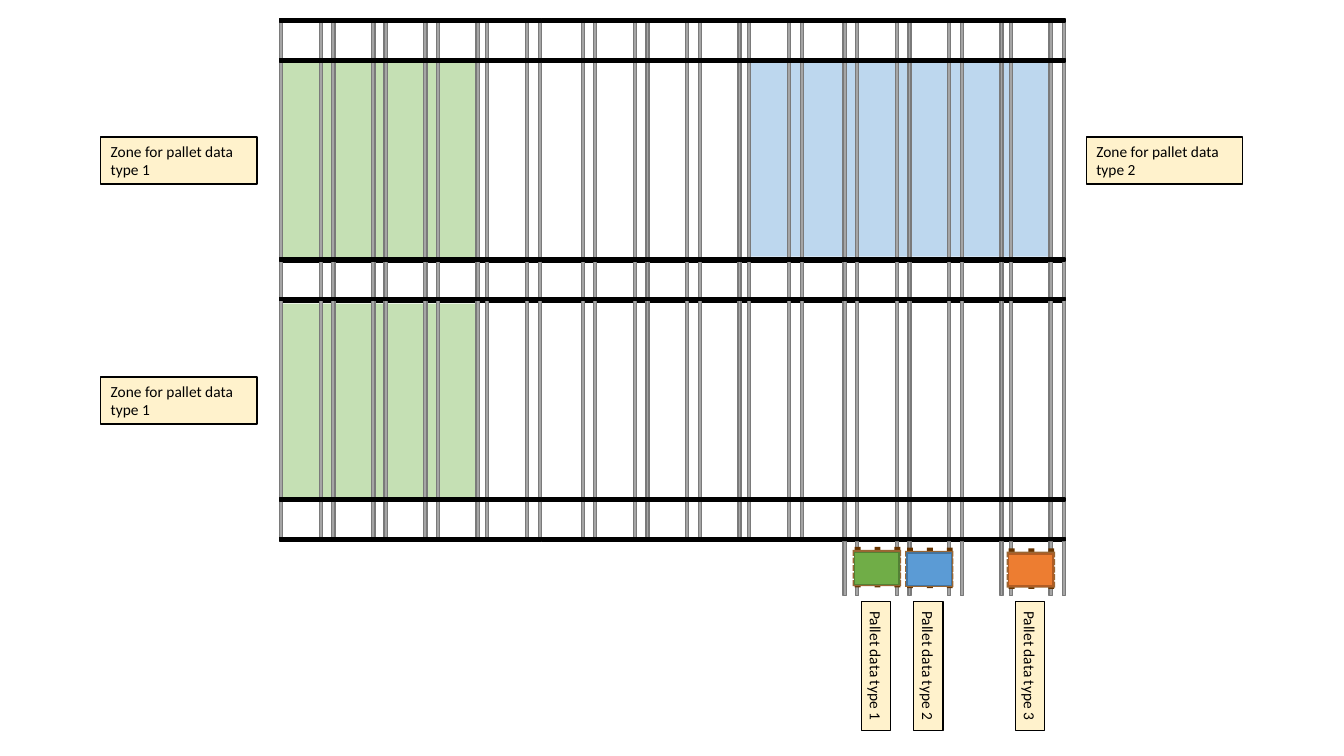
from dataclasses import dataclass
from typing import Optional

from pptx import Presentation
from pptx.dml.color import RGBColor
from pptx.enum.shapes import MSO_SHAPE
from pptx.enum.text import MSO_ANCHOR, MSO_AUTO_SIZE, PP_ALIGN
from pptx.shapes.autoshape import Shape
from pptx.shapes.shapetree import GroupShapes, SlideShapes
from pptx.util import Cm, Pt


@dataclass(frozen=True)
class Paint:
    fill: str
    line: Optional[str] = None


@dataclass(frozen=True)
class Theme:
    rail: Paint = Paint("A5A5A5", "7A7A7A")
    beam: Paint = Paint("000000", "000000")
    bearer: Paint = Paint("663300")
    plank: Paint = Paint("996633")
    label: Paint = Paint("FFF2CC", "000000")
    zone_type_1: Paint = Paint("C5E0B4")
    zone_type_2: Paint = Paint("BDD7EE")
    load_type_1: Paint = Paint("70AD47", "538035")
    load_type_2: Paint = Paint("5B9BD5", "43739E")
    load_type_3: Paint = Paint("ED7D31", "AF5C24")
    text: str = "000000"
    font: str = "Calibri"
    text_size: float = 11
    line_width: float = 1


@dataclass(frozen=True)
class Box:
    """A rectangle in centimetres."""
    left: float
    top: float
    width: float
    height: float


@dataclass(frozen=True)
class Zone:
    box: Box
    paint: Paint


@dataclass(frozen=True)
class Pallet:
    left: float
    top: float
    load: Paint
    caption: str


@dataclass(frozen=True)
class ZoneLabel:
    left: float
    top: float
    text: str


THEME = Theme()

RACK_LEFT = 7.04
BAY_WIDTH = 6.6
BAY_COUNT = 3
RACK_TOPS = (0.48, 6.5)
RACK_HEIGHT = 7.11
BAR_THICKNESS = 0.08
RAIL_OFFSETS = (1.01, 1.32, 2.33, 2.64, 3.64, 3.96, 4.96, 5.2, 6.2, 6.53)
BEAM_OFFSETS = (0, 1, 6.05, 7.05)
STUB_TOP, STUB_HEIGHT = 13.64, 1.37

ZONES = (
    Zone(Box(18.87, 1.52, 7.62, 4.95), THEME.zone_type_2),
    Zone(Box(7.06, 7.65, 5, 4.95), THEME.zone_type_1),
    Zone(Box(7.04, 1.57, 5, 4.95), THEME.zone_type_1),
)
PALLETS = (
    Pallet(21.49, 13.86, THEME.load_type_1, "Pallet data type 1"),
    Pallet(22.81, 13.88, THEME.load_type_2, "Pallet data type 2"),
    Pallet(25.37, 13.9, THEME.load_type_3, "Pallet data type 3"),
)
ZONE_LABELS = (
    ZoneLabel(2.54, 3.45, "Zone for pallet data type 1"),
    ZoneLabel(2.54, 9.5, "Zone for pallet data type 1"),
    ZoneLabel(27.38, 3.45, "Zone for pallet data type 2"),
)

FRAME_FORMAT = {
    "word_wrap": True,
    "auto_size": MSO_AUTO_SIZE.SHAPE_TO_FIT_TEXT,
    "vertical_anchor": MSO_ANCHOR.MIDDLE,
}
FONT_FORMAT = {"name": THEME.font, "size": Pt(THEME.text_size)}


def apply_format(target: object, values: dict) -> None:
    for name, value in values.items():
        setattr(target, name, value)


def add_box(shapes: SlideShapes | GroupShapes, box: Box, paint: Paint) -> Shape:
    shape = shapes.add_shape(MSO_SHAPE.RECTANGLE, Cm(box.left), Cm(box.top),
                             Cm(box.width), Cm(box.height))
    shape.shadow.inherit = False
    shape.fill.solid()
    shape.fill.fore_color.rgb = RGBColor.from_string(paint.fill)
    if paint.line:
        shape.line.color.rgb = RGBColor.from_string(paint.line)
        shape.line.width = Pt(THEME.line_width)
    else:
        shape.line.fill.background()
    return shape


def add_label(shapes: SlideShapes, box: Box, text: str, rotation: float = 0) -> None:
    label = add_box(shapes, box, THEME.label)
    label.rotation = rotation
    apply_format(label.text_frame, FRAME_FORMAT)
    paragraph = label.text_frame.paragraphs[0]
    paragraph.alignment = PP_ALIGN.LEFT
    run = paragraph.add_run()
    run.text = text
    apply_format(run.font, FONT_FORMAT)
    run.font.color.rgb = RGBColor.from_string(THEME.text)


def add_rails(shapes: GroupShapes, bay_left: float, top: float, height: float) -> None:
    for offset in RAIL_OFFSETS:
        add_box(shapes, Box(bay_left + offset, top, BAR_THICKNESS, height), THEME.rail)


def add_rack(shapes: GroupShapes, top: float) -> None:
    """Draw one first rail, then the rails and beams of every bay."""
    add_box(shapes, Box(RACK_LEFT, top, BAR_THICKNESS, RACK_HEIGHT), THEME.rail)
    for bay in range(BAY_COUNT):
        bay_left = RACK_LEFT + bay * BAY_WIDTH
        add_rails(shapes, bay_left, top, RACK_HEIGHT)
        for offset in BEAM_OFFSETS:
            add_box(shapes, Box(bay_left, top + offset, BAY_WIDTH, BAR_THICKNESS), THEME.beam)


def add_pallet(shapes: GroupShapes, pallet: Pallet) -> None:
    left, top = pallet.left, pallet.top
    for bearer in range(3):
        add_box(shapes, Box(left + 0.05 + 0.5 * bearer, top - 0.08, 0.15, 1.02), THEME.bearer)
    for plank in range(5):
        add_box(shapes, Box(left, top + 0.19 * plank, 1.22, 0.15), THEME.plank)
    add_box(shapes, Box(left + 0.05, top + 0.06, 1.12, 0.81), pallet.load)


def main() -> None:
    deck = Presentation()
    deck.slide_width, deck.slide_height = Cm(33.87), Cm(19.05)
    shapes = deck.slides.add_slide(deck.slide_layouts[6]).shapes

    for zone in ZONES:
        add_box(shapes, zone.box, zone.paint)

    warehouse = shapes.add_group_shape().shapes
    for rack_top in RACK_TOPS:
        add_rack(warehouse, rack_top)
    last_bay_left = RACK_LEFT + (BAY_COUNT - 1) * BAY_WIDTH
    add_rails(warehouse, last_bay_left, STUB_TOP, STUB_HEIGHT)

    for pallet in PALLETS:
        add_pallet(shapes.add_group_shape().shapes, pallet)

    for label in ZONE_LABELS:
        add_label(shapes, Box(label.left, label.top, 3.94, 1.19), label.text)
    for pallet in PALLETS:
        add_label(shapes, Box(pallet.left - 1.04, 16.41, 3.25, 0.74), pallet.caption, rotation=90)

    deck.save("out.pptx")


if __name__ == "__main__":
    main()
